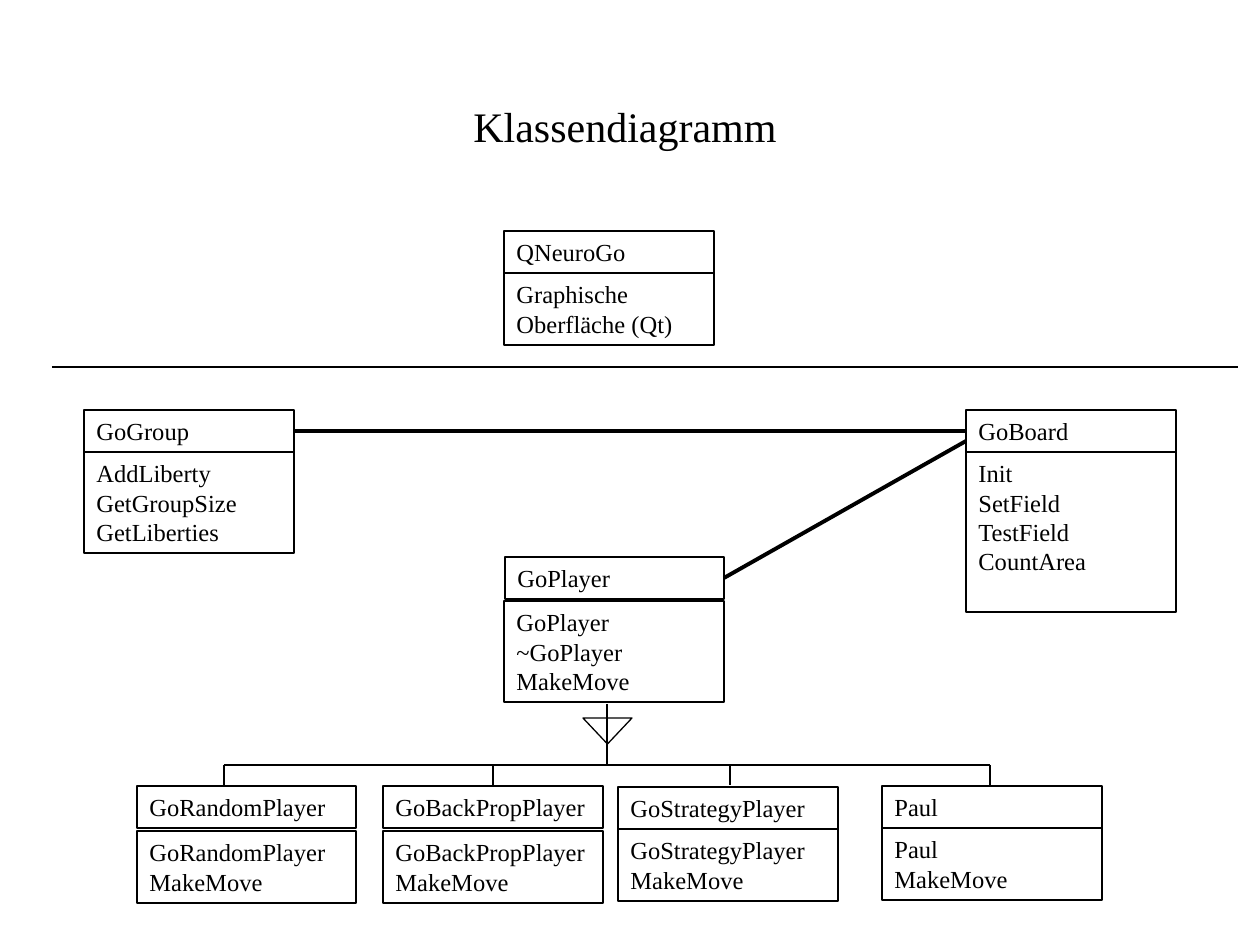
from dataclasses import dataclass

from lxml import etree
from pptx import Presentation
from pptx import util as u
from pptx.dml.color import RGBColor
from pptx.enum import shapes, text
from pptx.oxml import ns

EMU_PER_PX = 914400 / 126
BLACK = RGBColor(0x00, 0x00, 0x00)
FONT = "Times New Roman"
HEADER_HEIGHT = 42
BUS_TOP, CHILD_TOP = 765, 785
PARENT_X = 607


@dataclass(frozen=True)
class ClassBox:
    name: str
    members: str
    left: int
    top: int
    width: int
    rows: int
    gap: int = 0
    header_shift: int = 0


@dataclass(frozen=True)
class Link:
    start: tuple[int, int]
    end: tuple[int, int]
    weight: float = 0.75


CLASSES = [
    ClassBox("GoPlayer", "GoPlayer\n~GoPlayer\nMakeMove", 504, 557, 220, 3, 2, 1),
    ClassBox("GoRandomPlayer", "GoRandomPlayer\nMakeMove", 137, 786, 219, 2, 3),
    ClassBox("GoBackPropPlayer", "GoBackPropPlayer\nMakeMove", 383, 786, 220, 2, 3),
    ClassBox("GoStrategyPlayer", "GoStrategyPlayer\nMakeMove", 618, 787, 220, 2),
    ClassBox("Paul", "Paul\nMakeMove", 882, 786, 220, 2),
    ClassBox("GoBoard", "Init\nSetField\nTestField\nCountArea", 966, 410, 210, 5),
    ClassBox("GoGroup", "AddLiberty\nGetGroupSize\nGetLiberties", 84, 410, 210, 3),
    ClassBox("QNeuroGo", "Graphische Oberfläche (Qt)", 504, 231, 210, 2),
]
CHILD_XS = [224, 493, 730, 990]
LINKS = [
    Link((CHILD_XS[0], BUS_TOP), (CHILD_XS[-1], BUS_TOP)),
    Link((PARENT_X, 704), (PARENT_X, BUS_TOP)),
    *[Link((x, BUS_TOP), (x, CHILD_TOP)) for x in CHILD_XS],
    Link((52, 367), (1238, 367)),
    Link((294, 431), (966, 431), 2.25),
    Link((966, 441), (724, 578), 2.25),
]


def px(length: int) -> u.Emu:
    return u.Emu(round(length * EMU_PER_PX))


def write(shape, content: str, size: int, alignment: text.PP_ALIGN) -> None:
    frame = shape.text_frame
    frame.word_wrap = True
    frame.vertical_anchor = text.MSO_ANCHOR.TOP
    frame.text = content
    for paragraph in frame.paragraphs:
        paragraph.alignment = alignment
        for run in paragraph.runs:
            run.font.name = FONT
            run.font.size = u.Pt(size)
            run.font.color.rgb = BLACK


def draw_outline(slide, kind, left: int, top: int, width: int, height: int):
    shape = slide.shapes.add_shape(kind, px(left), px(top), px(width), px(height))
    shape.shadow.inherit = False
    shape.fill.background()
    shape.line.color.rgb = BLACK
    shape.line.width = u.Pt(0.75)
    return shape


def draw_class(slide, box: ClassBox) -> None:
    body_top = box.top + HEADER_HEIGHT + box.gap
    body_height = 13 + box.rows * 59 // 2
    for content, shift, top, height in (
        (box.name, box.header_shift, box.top, HEADER_HEIGHT),
        (box.members, 0, body_top, body_height),
    ):
        shape = draw_outline(
            slide,
            shapes.MSO_SHAPE.RECTANGLE,
            box.left + shift,
            top,
            box.width - shift,
            height,
        )
        write(shape, content, 14, text.PP_ALIGN.LEFT)


def draw_link(slide, link: Link) -> None:
    connector = slide.shapes.add_connector(
        shapes.MSO_CONNECTOR.STRAIGHT, *map(px, link.start + link.end)
    )
    connector.line.color.rgb = BLACK
    connector.line.width = u.Pt(link.weight)
    etree.SubElement(connector._element.spPr, ns.qn("a:effectLst"))


def main() -> None:
    """Build the class diagram slide."""
    presentation = Presentation()
    presentation.slide_width, presentation.slide_height = px(1260), px(945)
    slide = presentation.slides.add_slide(presentation.slide_layouts[6])

    for box in CLASSES:
        draw_class(slide, box)
    for link in LINKS:
        draw_link(slide, link)
    triangle = draw_outline(
        slide, shapes.MSO_SHAPE.ISOSCELES_TRIANGLE, PARENT_X - 24, 718, 49, 26
    )
    triangle.rotation = 180

    title = slide.shapes.add_textbox(px(105), px(94), px(1040), px(63))
    write(title, "Klassendiagramm", 24, text.PP_ALIGN.CENTER)
    presentation.save("out.pptx")


if __name__ == "__main__":
    main()
